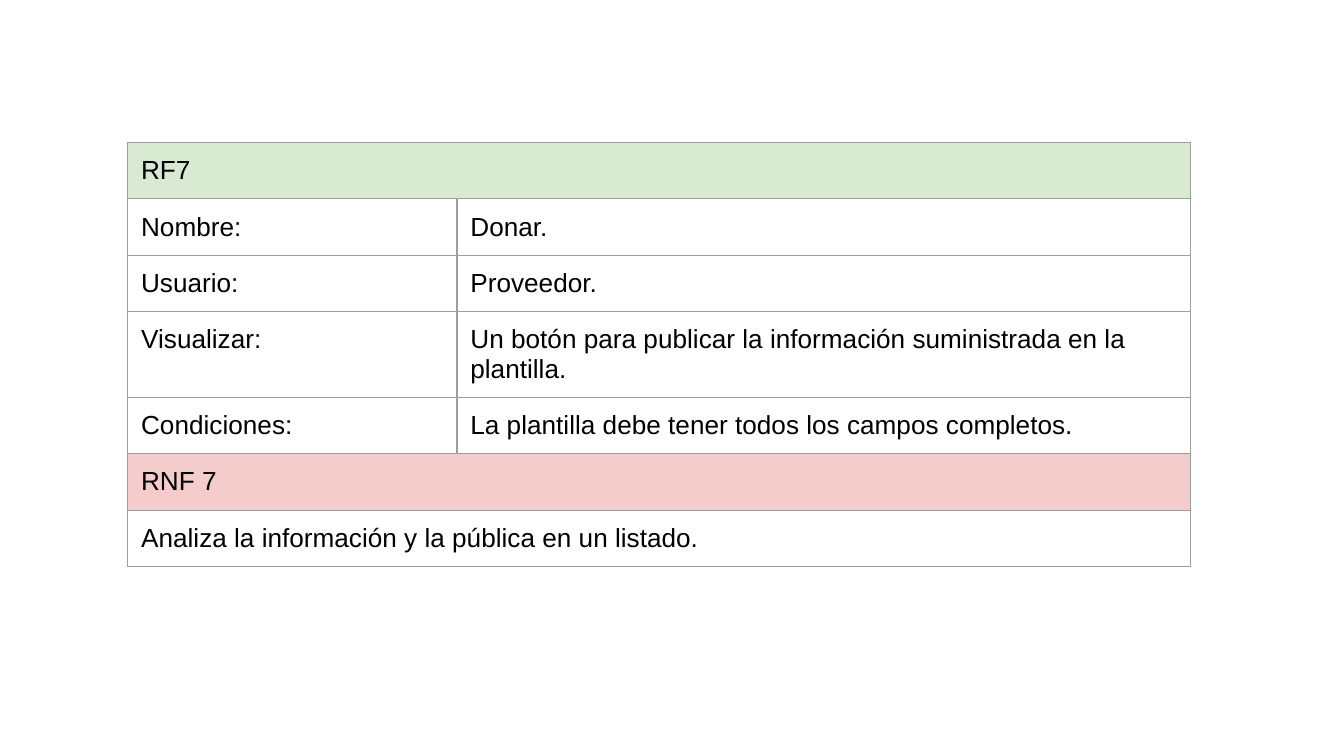
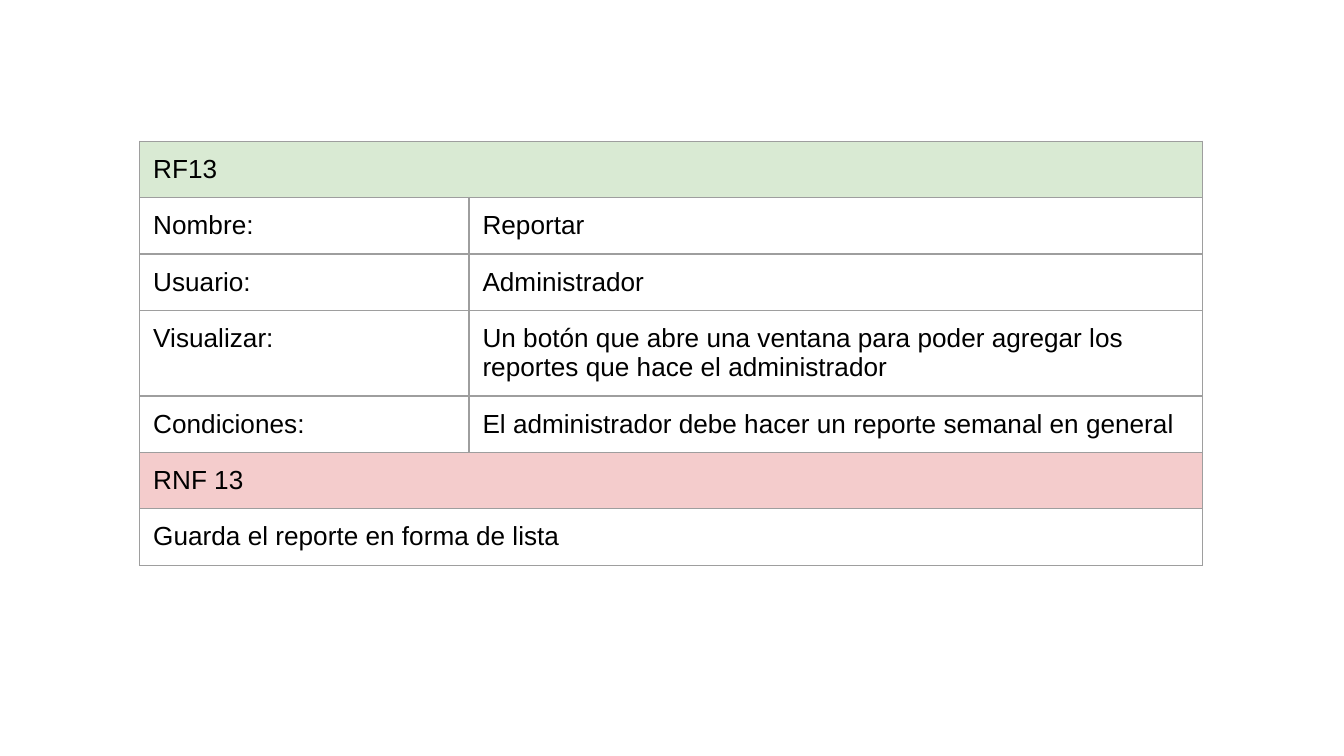
from dataclasses import dataclass

from lxml import etree
from pptx import Presentation
from pptx import util as u
from pptx.dml.color import RGBColor
from pptx.oxml import ns

LABELS = ("Nombre:", "Usuario:", "Visualizar:", "Condiciones:")
REQUIREMENTS = [
    {
        "at": (0.95, 1.06),
        "functional": "RF7",
        "details": (
            "Donar.",
            "Proveedor.",
            "Un botón para publicar la información suministrada en la plantilla.",
            "La plantilla debe tener todos los campos completos.",
        ),
        "non_functional": "RNF 7",
        "behaviour": "Analiza la información y la pública en un listado.",
    },
    {
        "at": (1.04, 1.05),
        "functional": "RF13",
        "details": (
            "Reportar",
            "Administrador",
            "Un botón que abre una ventana para poder agregar los reportes que hace el administrador",
            "El administrador debe hacer un reporte semanal en general",
        ),
        "non_functional": "RNF 13",
        "behaviour": "Guarda el reporte en forma de lista",
    },
]
SLIDE_WIDTH = u.Inches(10)
SLIDE_HEIGHT = SLIDE_WIDTH * 9 // 16
FRAME = {"width": u.Inches(7.92), "height": u.Inches(3.27)}
COLUMNS = (2.45, 5.46)
ROW_HEIGHT = 0.42


@dataclass(frozen=True)
class Theme:
    font: str = "Arial"
    size: float = 14
    ink: str = "000000"
    functional: str = "D9EAD3"
    non_functional: str = "F4CCCC"
    border: str = "9E9E9E"
    border_width: float = 0.75
    inset: float = 0.1


THEME = Theme()
MARGINS = {
    f"margin_{side}": u.Inches(THEME.inset)
    for side in ("left", "top", "right", "bottom")
}
FONT = {"name": THEME.font, "size": u.Pt(THEME.size), "bold": False}


def apply(target, values):
    for name, value in values.items():
        setattr(target, name, value)


def draw_borders(cell):
    properties = cell._tc.get_or_add_tcPr()
    for position, side in enumerate(("lnL", "lnR", "lnT", "lnB")):
        line = etree.Element(ns.qn(f"a:{side}"), w=str(u.Pt(THEME.border_width)))
        paint = etree.SubElement(line, ns.qn("a:solidFill"))
        etree.SubElement(paint, ns.qn("a:srgbClr"), val=THEME.border)
        properties.insert(position, line)


def format_cell(cell, fill):
    apply(cell, MARGINS)
    if fill:
        cell.fill.solid()
        cell.fill.fore_color.rgb = RGBColor.from_string(fill)
    else:
        cell.fill.background()
    draw_borders(cell)


def write(cell, wording):
    cell.text = wording
    font = cell.text_frame.paragraphs[0].runs[0].font
    apply(font, FONT)
    font.color.rgb = RGBColor.from_string(THEME.ink)


def add_requirement(slide, requirement):
    rows = [
        ((requirement["functional"],), THEME.functional),
        *((pair, None) for pair in zip(LABELS, requirement["details"])),
        ((requirement["non_functional"],), THEME.non_functional),
        ((requirement["behaviour"],), None),
    ]
    left, top = map(u.Inches, requirement["at"])
    frame = slide.shapes.add_table(
        len(rows), len(COLUMNS), left, top, FRAME["width"], FRAME["height"]
    )
    sheet = frame.table
    apply(sheet, {"first_row": False, "horz_banding": False})
    for column, width in zip(sheet.columns, COLUMNS):
        column.width = u.Inches(width)
    for index, (wordings, fill) in enumerate(rows):
        sheet.rows[index].height = u.Inches(ROW_HEIGHT)
        cells = [sheet.cell(index, column) for column in range(len(COLUMNS))]
        for cell in cells:
            format_cell(cell, fill)
        if len(wordings) == 1:
            cells[0].merge(cells[-1])
        for cell, wording in zip(cells, wordings):
            write(cell, wording)
    apply(frame, FRAME)


def main():
    deck = Presentation()
    apply(deck, {"slide_width": SLIDE_WIDTH, "slide_height": SLIDE_HEIGHT})
    blank = deck.slide_layouts.get_by_name("Blank")
    for requirement in REQUIREMENTS:
        add_requirement(deck.slides.add_slide(blank), requirement)
    deck.save("out.pptx")


if __name__ == "__main__":
    main()
